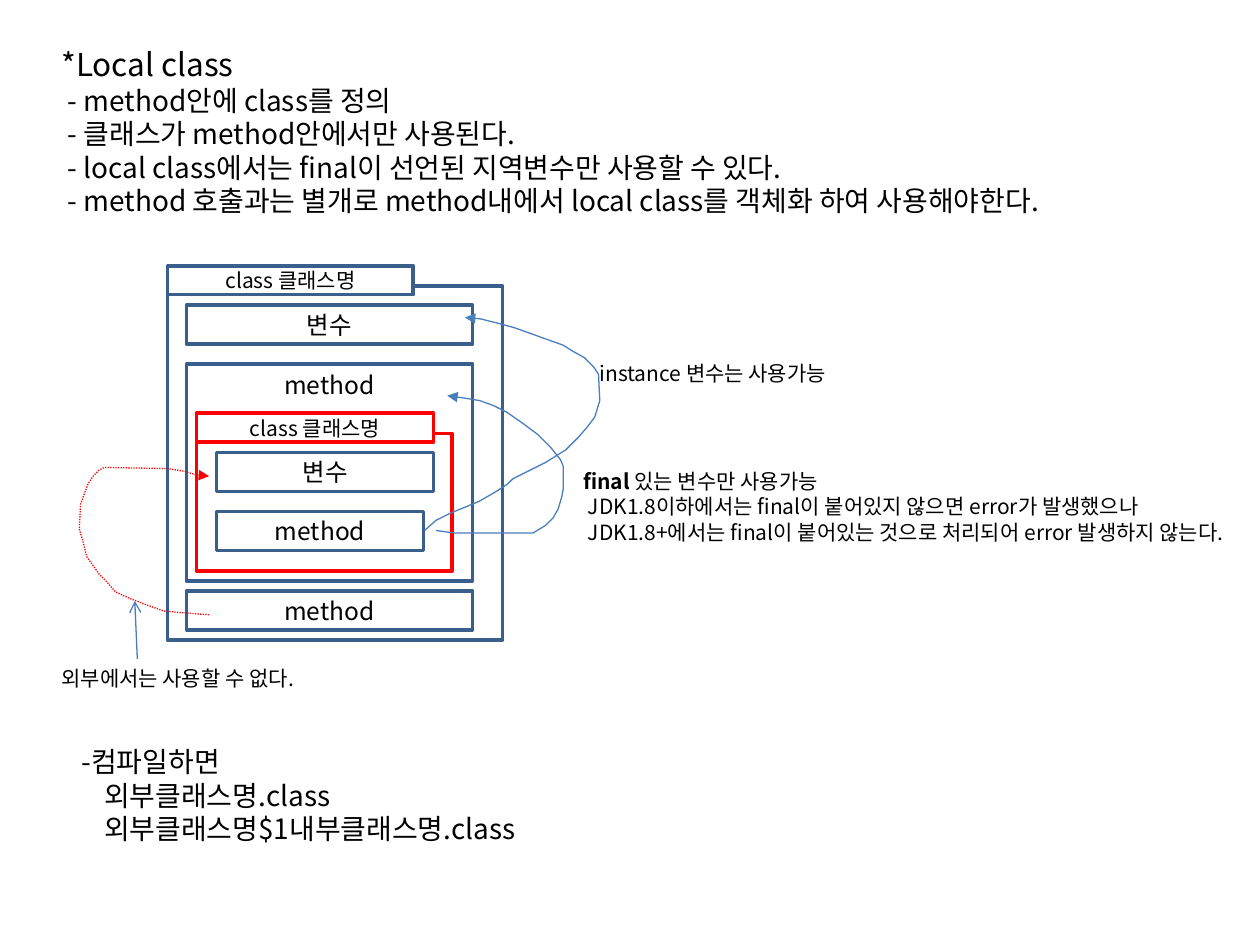
from dataclasses import dataclass

from pptx import Presentation
from pptx.dml.color import RGBColor
from pptx.enum.dml import MSO_LINE
from pptx.enum.shapes import MSO_CONNECTOR, MSO_SHAPE
from pptx.enum.text import MSO_ANCHOR, MSO_AUTO_SIZE, PP_ALIGN
from pptx.oxml.ns import qn
from pptx.util import Inches, Pt
from lxml import etree

RECT = MSO_SHAPE.RECTANGLE
STRAIGHT = MSO_CONNECTOR.STRAIGHT
DOTTED = MSO_LINE.ROUND_DOT
TOP, MIDDLE = MSO_ANCHOR.TOP, MSO_ANCHOR.MIDDLE
CENTER = PP_ALIGN.CENTER
FIT = MSO_AUTO_SIZE.SHAPE_TO_FIT_TEXT


@dataclass(frozen=True)
class Theme:
    font: str = "Noto Sans CJK KR"
    black: RGBColor = RGBColor(0, 0, 0)
    white: RGBColor = RGBColor(255, 255, 255)
    blue: RGBColor = RGBColor(0x3A, 0x5F, 0x8C)
    arrow: RGBColor = RGBColor(0x4B, 0x7E, 0xBC)
    red: RGBColor = RGBColor(255, 0, 0)
    title: int = 18
    body: int = 16
    member: int = 14
    small: int = 12
    frame_width: float = 2
    arrow_width: float = 0.75


T = Theme()

INSTANCE_ROUTE = [
    (2.04, 2.10), (2.13, 2.02), (2.25, 1.96), (2.35, 1.92), (2.47, 1.87), (2.61, 1.79),
    (2.70, 1.73), (2.74, 1.69), (2.88, 1.62), (3.00, 1.56), (3.16, 1.46), (3.26, 1.36),
    (3.33, 1.28), (3.39, 1.20), (3.43, 1.07), (3.42, 0.86), (3.38, 0.80), (3.31, 0.73),
    (3.22, 0.68), (3.14, 0.63), (3.00, 0.58), (2.89, 0.54), (2.75, 0.49), (2.60, 0.45),
    (2.48, 0.42), (2.36, 0.41),
]
FINAL_ROUTE = [
    (2.13, 2.10), (2.28, 2.12), (2.90, 2.12), (3.00, 2.06), (3.06, 2.00), (3.10, 1.93),
    (3.13, 1.83), (3.14, 1.77), (3.14, 1.59), (3.12, 1.54), (3.04, 1.44), (2.94, 1.34),
    (2.82, 1.25), (2.69, 1.16), (2.59, 1.11), (2.48, 1.07), (2.36, 1.05), (2.22, 1.03),
]
OUTSIDE_ROUTE = [
    (0.33, 2.77), (0.08, 2.75), (-0.03, 2.74), (-0.17, 2.69), (-0.30, 2.64), (-0.41, 2.59),
    (-0.49, 2.50), (-0.54, 2.45), (-0.59, 2.38), (-0.64, 2.31), (-0.67, 2.19), (-0.70, 2.09),
    (-0.69, 1.89), (-0.66, 1.81), (-0.63, 1.73), (-0.59, 1.67), (-0.54, 1.62), (-0.50, 1.60),
    (0, 1.61), (0.13, 1.63), (0.23, 1.66), (0.33, 1.67),
]


def set_font(p, size):
    p.font.name = T.font
    p.font.size = Pt(size)
    p.font.color.rgb = T.black


def style_arrow(shape, color, head):
    shape.line.color.rgb = color
    shape.line.width = Pt(T.arrow_width)
    ln = shape._element.spPr.find(qn("a:ln"))
    etree.SubElement(ln, qn("a:tailEnd")).set("type", head)


def add_text(s, x, y, w, h, lines, size, first_size=None, indent=0):
    tf = s.shapes.add_textbox(Inches(x), Inches(y), Inches(w), Inches(h)).text_frame
    tf.word_wrap = False
    tf.auto_size = FIT
    for i, line in enumerate(lines):
        p = tf.add_paragraph() if i else tf.paragraphs[0]
        if i and indent:
            p._p.get_or_add_pPr().set("marL", str(Inches(indent)))
        p.text = line
        set_font(p, size if i else first_size or size)
    return tf


def add_box(s, x, y, w, h, text="", color=T.blue, size=T.member, filled=False, anchor=MIDDLE):
    sp = s.shapes.add_shape(RECT, Inches(x), Inches(y), Inches(w), Inches(h))
    sp.shadow.inherit = False
    if filled:
        sp.fill.solid()
        sp.fill.fore_color.rgb = T.white
    else:
        sp.fill.background()
    sp.line.color.rgb = color
    sp.line.width = Pt(T.frame_width)
    if text:
        tf = sp.text_frame
        tf.vertical_anchor = anchor
        p = tf.paragraphs[0]
        p.text = text
        p.alignment = CENTER
        set_font(p, size)


def add_class(s, x, y, w, h, tab_w, color):
    add_box(s, x, y + 0.16, w, h - 0.16, color=color)
    add_box(s, x, y, tab_w, 0.23, "class 클래스명", color, T.small, filled=True)


def add_route(s, x, y, points, color, dash=None):
    route = [(Inches(x + dx), Inches(y + dy)) for dx, dy in points]
    builder = s.shapes.build_freeform(*route[0])
    builder.add_line_segments(route[1:], close=False)
    sp = builder.convert_to_shape()
    sp.shadow.inherit = False
    sp.fill.background()
    if dash:
        sp.line.dash_style = dash
    style_arrow(sp, color, "triangle")


def add_diagram(s, x, y):
    add_class(s, x, y, 2.66, 2.97, 1.95, T.blue)
    add_box(s, x + 0.15, y + 0.31, 2.27, 0.31, "변수")
    add_box(s, x + 0.15, y + 0.78, 2.27, 1.72, "method", anchor=TOP)
    add_class(s, x + 0.23, y + 1.17, 2.03, 1.25, 1.88, T.red)
    add_box(s, x + 0.39, y + 1.48, 1.72, 0.31, "변수")
    add_box(s, x + 0.39, y + 1.95, 1.64, 0.31, "method")
    add_box(s, x + 0.15, y + 2.58, 2.27, 0.31, "method")
    add_route(s, x, y, FINAL_ROUTE, T.arrow)
    add_route(s, x, y, INSTANCE_ROUTE, T.arrow)
    add_route(s, x, y, OUTSIDE_ROUTE, T.red, DOTTED)


def add_notes(s, x, y):
    add_text(s, x + 3.33, y + 0.7, 2.13, 0.3, ["instance 변수는 사용가능"], T.small)
    tf = add_text(s, x + 3.2, y + 1.56, 5.69, 0.71, [
        "final ",
        " JDK1.8이하에서는 final이 붙어있지 않으면 error가 발생했으나",
        " JDK1.8+에서는 final이 붙어있는 것으로 처리되어 error 발생하지 않는다.",
    ], T.small)
    p = tf.paragraphs[0]
    p.runs[0].font.bold = True
    p.add_run().text = "있는 변수만 사용가능"
    add_text(s, x - 0.94, y + 3.12, 2.27, 0.3, ["외부에서는 사용할 수 없다."], T.small)
    pointer = s.shapes.add_connector(
        STRAIGHT, Inches(x - 0.24), Inches(y + 3.12), Inches(x - 0.26), Inches(y + 2.66))
    style_arrow(pointer, T.arrow, "arrow")
    etree.SubElement(pointer._element.spPr, qn("a:effectLst"))


def main():
    prs = Presentation()
    prs.slide_width, prs.slide_height = Inches(10), Inches(7.5)
    s = prs.slides.add_slide(prs.slide_layouts[6])
    add_text(s, 0.39, 0.31, 8.56, 1.75, [
        "*Local class",
        " - method안에 class를 정의",
        " - 클래스가 method안에서만 사용된다.",
        " - local class에서는 final이 선언된 지역변수만 사용할 수 있다.",
        " - method 호출과는 별개로 method내에서 local class를 객체화 하여 사용해야한다.",
    ], T.body, first_size=T.title)
    add_diagram(s, 1.33, 2.11)
    add_notes(s, 1.33, 2.11)
    add_text(s, 0.55, 5.86, 4.03, 0.91, [
        "-컴파일하면",
        "외부클래스명.class",
        "외부클래스명$1내부클래스명.class",
    ], T.body, indent=0.18)
    prs.save("out.pptx")


if __name__ == "__main__":
    main()
